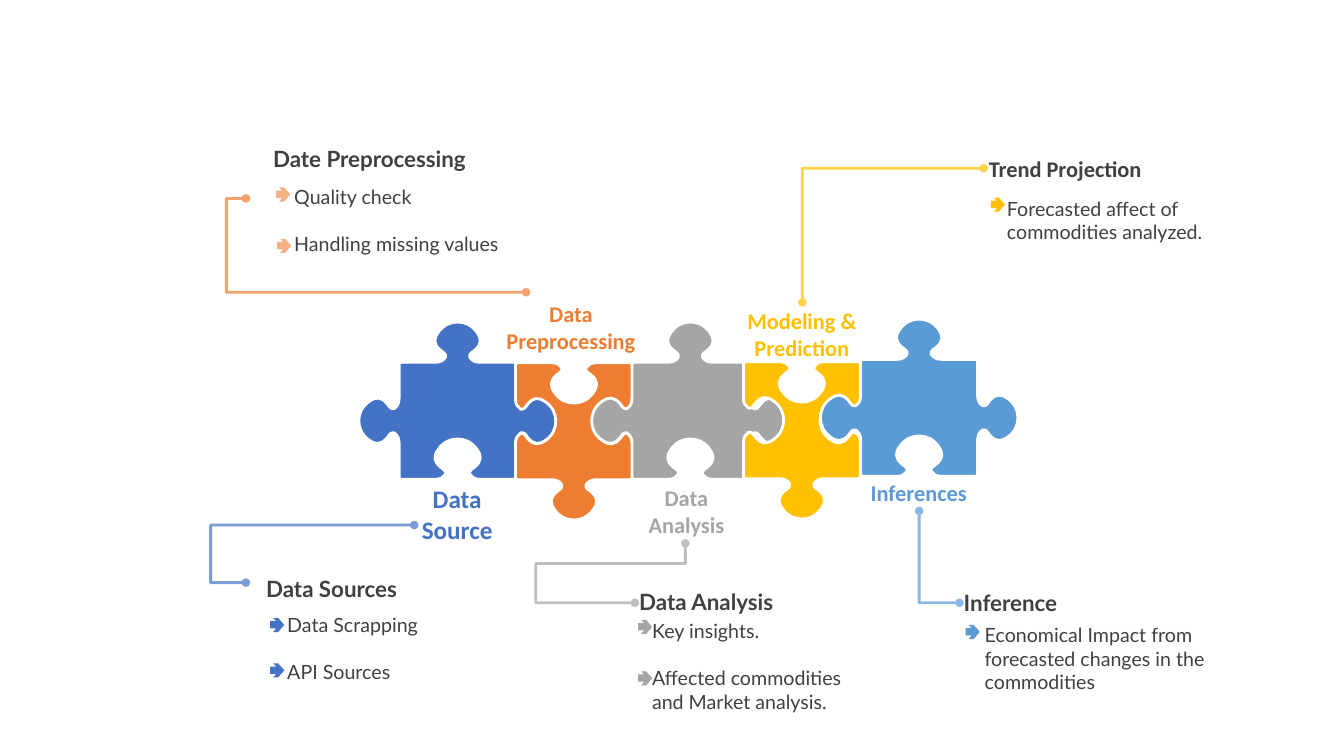
from lxml import etree
from pptx import Presentation
from pptx import util as u
from pptx.dml import color
from pptx.enum import shapes, text
from pptx.oxml import ns

Pt = u.Pt

COLORS = {
    "source": "4472C4", "preprocessing": "ED7D31", "analysis": "A5A5A5",
    "modeling": "FFC000", "inference": "5B9BD5", "peach": "F4B183",
    "ink": "404040", "white": "FFFFFF",
}

HALF_KNOB = [
    (-22, 0), (-17, 0), (-14, 2), (-12, 5), (-11, 9), (-15, 10), (-17, 12),
    (-24, 18), (-24, 23), (-19, 30), (-14, 37), (-7, 40), (0, 40),
]
HALF_SIDE = 58
CORNER = 55
KNOB_UP = (1, 1, -1, 1)
KNOB_DOWN = (-1, -1, 1, -1)

ARROW = [(22, 0), (43, 23), (0, 23), (0, 75), (43, 75), (22, 101), (57, 101), (101, 50), (57, 0)]

PIECES = [
    ("source", KNOB_UP, 326.9, 300.6),
    ("preprocessing", KNOB_DOWN, 410, 300.9),
    ("analysis", KNOB_UP, 493.2, 300.6),
    ("modeling", KNOB_DOWN, 572.8, 300.2),
    ("inference", KNOB_UP, 656.6, 298.5),
]

LABELS = [
    ("Data Source", "source", 18, 279.4, 342, 94.3, 51),
    ("Data Analysis", "analysis", 16, 439.2, 342, 102.2, 46),
    ("Inferences", "inference", 16, 609.1, 338.4, 94.3, 26.6),
    ("Data Preprocessing", "preprocessing", 16, 347, 211, 121.7, 46),
    ("Modeling & Prediction", "modeling", 16, 525.6, 216, 94.3, 46),
]

NOTES = [
    ("Data Sources", "Lato", 0, (190.1, 407.5), (205.2, 434.2), 58.3,
     ["Data Scrapping", "API Sources"], "source", [(193, 441.4), (193, 473.8)]),
    ("Data Analysis", "Lato", 3, (453.6, 416.9), (465.8, 438.5), 74.9,
     ["Key insights.", "Affected commodities and Market analysis."],
     "analysis", [(455.8, 442.8), (455.8, 479.5)]),
    ("Inference", "Lato", 3, (685.4, 417.6), (703.4, 441.4), 58.3,
     ["Economical Impact from forecasted changes in the commodities"],
     "inference", [(689.8, 446.4)]),
    ("Date Preprocessing", "Lato", 0, (195.1, 100.1), (210.2, 128.2), 74.9,
     ["Quality check", "Handling missing values"], "peach", [(197.3, 133.9), (198, 170.6)]),
    ("Trend Projection", "Calibri", 3.6, (702.7, 107.3), (719.3, 136.8), 41,
     ["Forecasted affect of commodities analyzed."], "modeling", [(707.8, 141.1)]),
]

LINKS = [
    ("source", (175.7, 416.2), (295.9, 375.1), "bentConnector3", [-0.21]),
    ("analysis", (453.6, 430.6), (489.6, 388.1), "bentConnector4", [-1.97, 0.66]),
    ("inference", (685.4, 430.6), (656.6, 365), "bentConnector2", []),
    ("preprocessing", (175.7, 141.8), (375.8, 208.8), "bentConnector3", [-0.07]),
    ("modeling", (702.7, 120.2), (573.1, 216), "bentConnector2", []),
]


def rgb(name):
    return color.RGBColor.from_string(COLORS[name])


def add_outline(slide, points, scale, fill, left, top):
    builder = slide.shapes.build_freeform(*points[0], scale=scale)
    builder.add_line_segments(points[1:], close=True)
    outline = builder.convert_to_shape(Pt(left), Pt(top))
    outline.shadow.inherit = False
    outline.fill.solid()
    outline.fill.fore_color.rgb = rgb(fill)
    outline.line.fill.background()
    return outline


def puzzle_curves(knobs):
    mirrored = [(-along, out) for along, out in HALF_KNOB[-2::-1]]
    neck = HALF_KNOB[0]
    side = [(-CORNER, 0), (-CORNER, 0), neck, *HALF_KNOB, *mirrored, mirrored[-1],
            (CORNER, 0), (CORNER, 0), (HALF_SIDE, 0), (HALF_SIDE, 0)]
    points = []
    for turns, knob in enumerate(knobs):
        for along, out in side:
            x, y = along, -HALF_SIDE - knob * out
            for _ in range(turns):
                x, y = -y, x
            points.append((x, y))
    return points + points[:1]


def add_piece(slide, fill, knobs, left, top):
    piece = add_outline(slide, puzzle_curves(knobs), Pt(0.72), fill, left, top)
    piece.line.color.rgb = rgb("white")
    piece.line.width = Pt(2)
    steps = list(piece._element.iter(ns.qn("a:lnTo")))
    for first, second, third in zip(steps[::3], steps[1::3], steps[2::3]):
        curve = etree.Element(ns.qn("a:cubicBezTo"))
        first.addprevious(curve)
        for step in (first, second, third):
            curve.append(step[0])
            step.getparent().remove(step)


def add_text(slide, lines, place, size, font, ink, bold=False, margins=None, align=None):
    box = slide.shapes.add_textbox(*map(Pt, place))
    frame = box.text_frame
    frame.word_wrap = True
    frame.auto_size = text.MSO_AUTO_SIZE.SHAPE_TO_FIT_TEXT
    if margins:
        frame.margin_left, frame.margin_right = map(Pt, margins)
    for number, line in enumerate(lines):
        paragraph = frame.add_paragraph() if number else frame.paragraphs[0]
        paragraph.text = line
        paragraph.alignment = align
        if number:
            paragraph.space_before = Pt(16.8)
        paragraph.font.size = Pt(size)
        paragraph.font.name = font
        paragraph.font.bold = bold
        paragraph.font.color.rgb = rgb(ink)


def add_link(slide, ink, start, end, bend, adjustments):
    link = slide.shapes.add_connector(shapes.MSO_CONNECTOR.ELBOW, *map(Pt, start + end))
    link.line.color.rgb = rgb(ink)
    link.line.width = Pt(2)
    properties = link._element.spPr
    geometry = properties.find(ns.qn("a:prstGeom"))
    geometry.set("prst", bend)
    guides = geometry.find(ns.qn("a:avLst"))
    for number, share in enumerate(adjustments, 1):
        etree.SubElement(guides, ns.qn("a:gd"), name=f"adj{number}", fmla=f"val {round(share * 100000)}")
    stroke = properties.find(ns.qn("a:ln"))
    etree.SubElement(next(stroke.iter(ns.qn("a:srgbClr"))), ns.qn("a:alpha"), val="70000")
    for tip in ("a:headEnd", "a:tailEnd"):
        etree.SubElement(stroke, ns.qn(tip), type="oval")
    etree.SubElement(properties, ns.qn("a:effectLst"))


def add_note(slide, heading, font, indent, heading_at, body_at, height, lines, fill, arrows):
    add_text(slide, [heading], (*heading_at, 160.6, 26.6), 16, font, "ink", True, (indent, 0))
    add_text(slide, lines, (*body_at, 161.3, height), 14, "Lato", "ink", margins=(0, 0))
    for left, top in arrows:
        add_outline(slide, ARROW, Pt(0.1), fill, left, top)


def main():
    deck = Presentation()
    deck.slide_width, deck.slide_height = Pt(960), Pt(540)
    slide = deck.slides.add_slide(deck.slide_layouts[6])
    for piece in PIECES:
        add_piece(slide, *piece)
    for link in LINKS:
        add_link(slide, *link)
    for label, ink, size, *place in LABELS:
        add_text(slide, [label], place, size, "Calibri", ink, True, align=text.PP_ALIGN.CENTER)
    for note in NOTES:
        add_note(slide, *note)
    deck.save("out.pptx")


if __name__ == "__main__":
    main()
